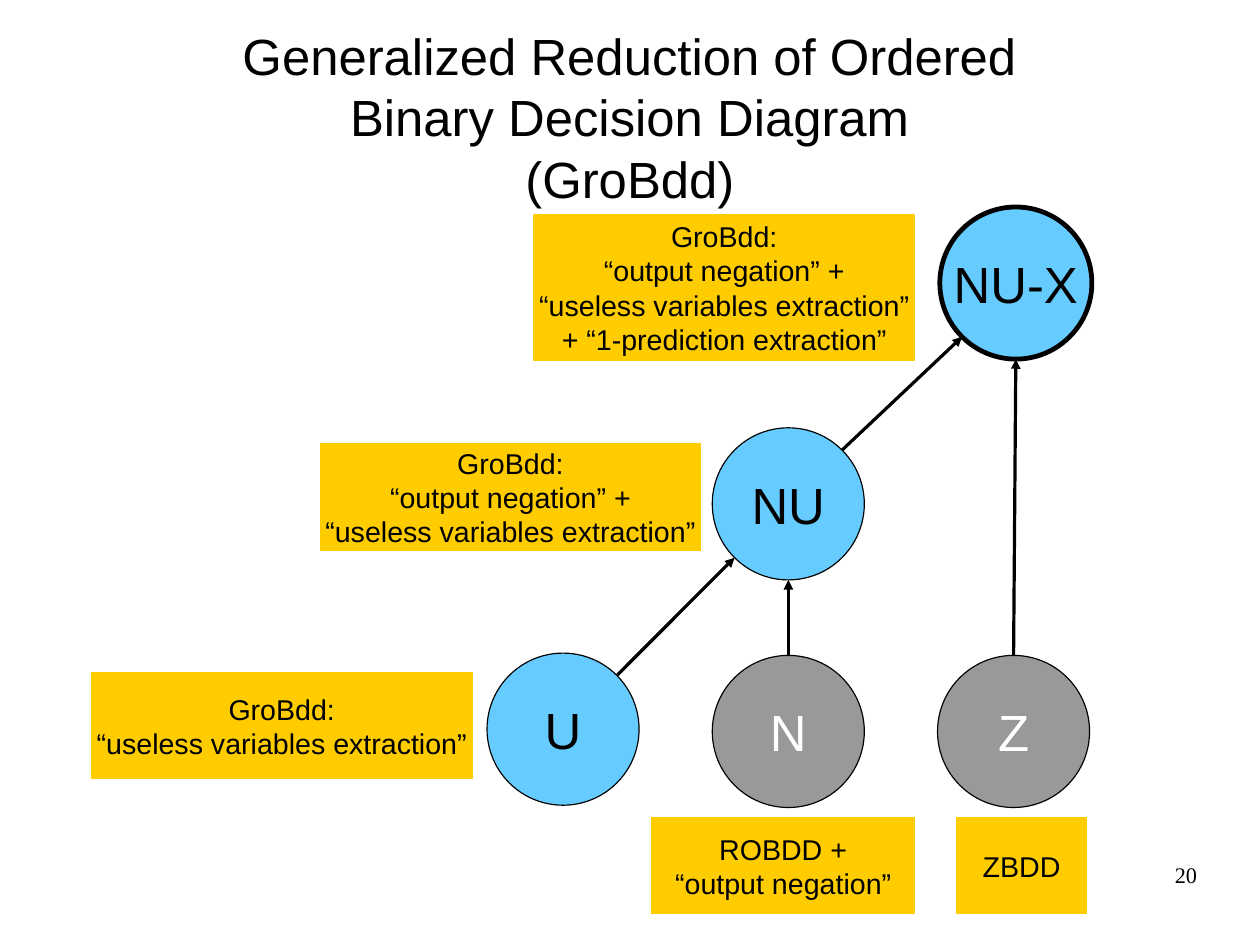
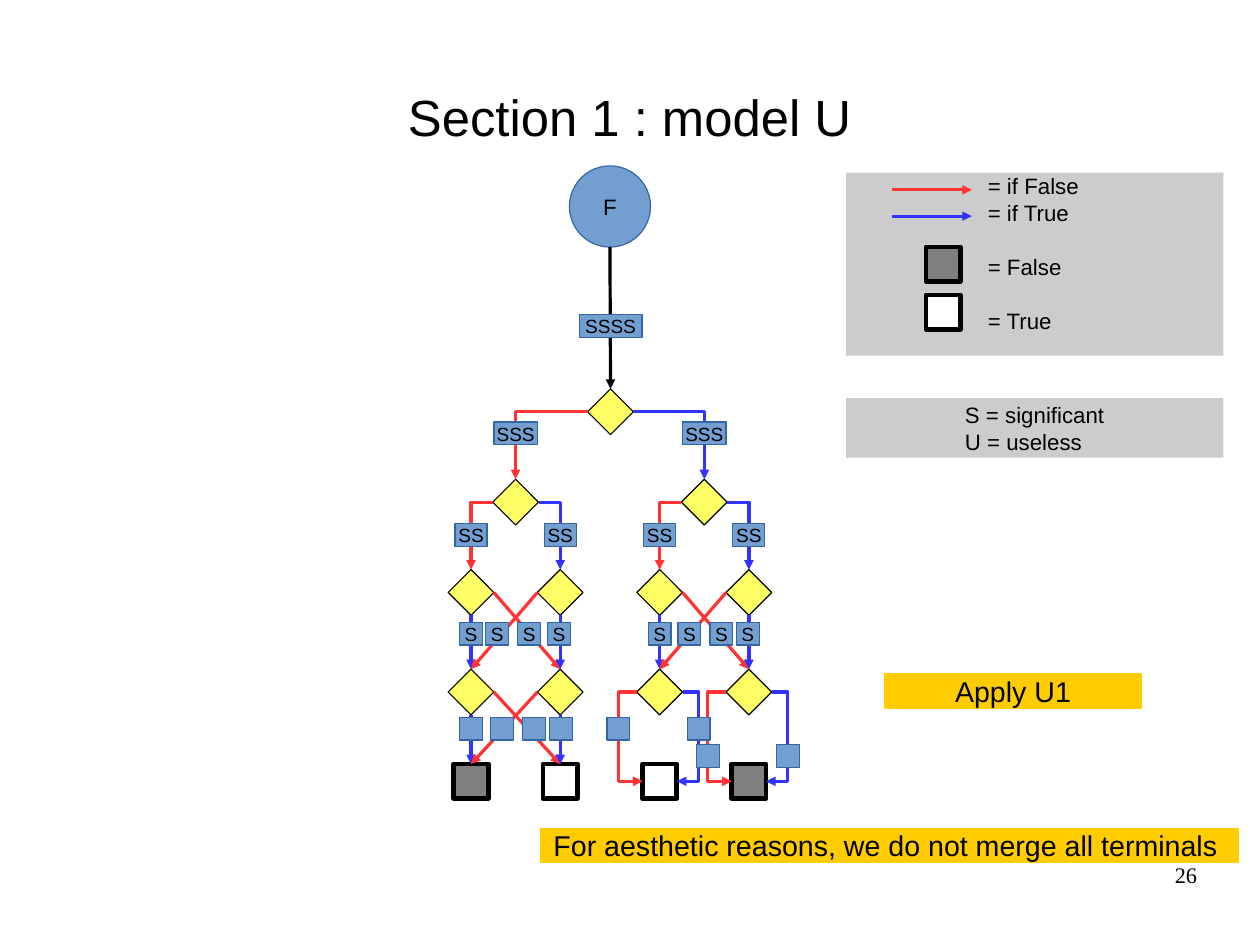
import math

from lxml import etree
from pptx import Presentation
from pptx import util as u
from pptx.dml.color import RGBColor
from pptx.enum import shapes, text
from pptx.oxml.ns import qn

PX = 9144  # EMU in one px, 100 px to the inch
BLACK = RGBColor(0x00, 0x00, 0x00)
WHITE = RGBColor(0xFF, 0xFF, 0xFF)
GREY = RGBColor(0x99, 0x99, 0x99)
DARK_GREY = RGBColor(0x80, 0x80, 0x80)
LIGHT_GREY = RGBColor(0xCC, 0xCC, 0xCC)
SKY = RGBColor(0x66, 0xCC, 0xFF)
AMBER = RGBColor(0xFF, 0xCC, 0x00)
YELLOW = RGBColor(0xFF, 0xFF, 0x66)
STEEL = RGBColor(0x72, 0x9F, 0xCF)
STEEL_EDGE = RGBColor(0x34, 0x65, 0xA4)
RED = RGBColor(0xFF, 0x33, 0x33)
BLUE = RGBColor(0x33, 0x33, 0xFF)

RECTANGLE = shapes.MSO_SHAPE.RECTANGLE
OVAL = shapes.MSO_SHAPE.OVAL
DIAMOND = shapes.MSO_SHAPE.DIAMOND
STRAIGHT = shapes.MSO_CONNECTOR.STRAIGHT
ELBOW = shapes.MSO_CONNECTOR.ELBOW
CENTER = text.PP_ALIGN.CENTER
TOP, LEFT, BOTTOM, RIGHT = range(4)


def px(*lengths):
    return [u.Emu(round(length * PX)) for length in lengths]


def write(frame, words, size, color=BLACK, align=CENTER, font="Arial"):
    frame.text = words
    for paragraph in frame.paragraphs:
        paragraph.alignment = align
        for run in paragraph.runs:
            run.font.name = font
            run.font.size = u.Pt(size)
            run.font.color.rgb = color


def set_margins(frame, left=0, top=0, right=0, bottom=0):
    frame.margin_left, frame.margin_top, frame.margin_right, frame.margin_bottom = px(
        left, top, right, bottom)


def add_box(slide, kind, box, fill, edge=None, width=0, words="", size=18, color=BLACK):
    shape = slide.shapes.add_shape(kind, *px(*box))
    shape.shadow.inherit = False
    shape.fill.solid()
    shape.fill.fore_color.rgb = fill
    if edge is None:
        shape.line.fill.background()
    else:
        shape.line.color.rgb = edge
        shape.line.width = u.Pt(width)
    if words:
        frame = shape.text_frame
        frame.word_wrap = False
        frame.vertical_anchor = text.MSO_ANCHOR.MIDDLE
        write(frame, words, size, color)
    return shape


def add_caption(slide, box, words):
    add_box(slide, RECTANGLE, box, AMBER, AMBER, words=words)


def add_arrow(slide, start, end, color=BLACK, kind=STRAIGHT):
    """Draw a hairline arrow between two (x, y) points in EMU."""
    arrow = slide.shapes.add_connector(kind, *start, *end)
    arrow.line.color.rgb = color
    arrow.line.width = u.Pt(0)
    properties = arrow.element.spPr
    etree.SubElement(properties.find(qn("a:ln")), qn("a:tailEnd"), type="triangle")
    etree.SubElement(properties, qn("a:effectLst"))
    return arrow


def join(slide, source, source_side, target, target_side, color, kind=STRAIGHT):
    """Draw an arrow glued to the middle of a side of each shape."""
    arrow = add_arrow(slide, (0, 0), (0, 0), color, kind)
    arrow.begin_connect(source, source_side)
    arrow.end_connect(target, target_side)
    return arrow


def join_corner(slide, source, source_side, target, color):
    """Leave sideways, turn once and enter the target from above."""
    arrow = join(slide, source, source_side, target, TOP, color, ELBOW)
    arrow.element.spPr.find(qn("a:prstGeom")).set("prst", "bentConnector2")


def join_around(slide, source, target, side, turn_x, color):
    """Leave and enter on the same side, running down at turn_x."""
    arrow = join(slide, source, side, target, side, color, ELBOW)
    bend = (turn_x * PX - arrow.begin_x) / (arrow.end_x - arrow.begin_x)
    geometry = arrow.element.spPr.find(qn("a:prstGeom"))
    guides = geometry.find(qn("a:avLst"))
    if guides is None:
        guides = etree.SubElement(geometry, qn("a:avLst"))
    etree.SubElement(guides, qn("a:gd"), name="adj1", fmla=f"val {round(bend * 100000)}")


def add_page(presentation, title, title_box, number):
    slide = presentation.slides.add_slide(presentation.slide_layouts[5])
    heading = slide.shapes.title
    heading.left, heading.top, heading.width, heading.height = px(*title_box)
    frame = heading.text_frame
    frame.auto_size = text.MSO_AUTO_SIZE.NONE
    frame.vertical_anchor = text.MSO_ANCHOR.MIDDLE
    set_margins(frame)
    write(frame, title, 32)
    page_number = slide.shapes.add_textbox(*px(790, 753, 257, 57)).text_frame
    page_number.word_wrap = True
    set_margins(page_number)
    write(page_number, number, 14, align=text.PP_ALIGN.RIGHT, font="Times New Roman")
    return slide


def rim_point(circle, degrees):
    """Point on a circle's rim, counted clockwise from its right."""
    radius, angle = circle.width / 2, math.radians(degrees)
    return (round(circle.left + radius * (1 + math.cos(angle))),
            round(circle.top + radius * (1 + math.sin(angle))))


def build_model_map(slide):
    circles = {}
    for name, x, y, fill, color, width in (
            ("N", 623, 573, GREY, WHITE, 0), ("NU", 623, 374, SKY, BLACK, 0),
            ("NU-X", 822, 181, SKY, BLACK, 3), ("Z", 820, 573, GREY, WHITE, 0),
            ("U", 426, 571, SKY, BLACK, 0)):
        circles[name] = add_box(slide, OVAL, (x, y, 133, 133), fill, BLACK, width,
                                name, 32, color)
    for source, leave, target, enter in (
            ("U", -45, "NU", 135), ("N", -90, "NU", 90),
            ("NU", -45, "NU-X", 135), ("Z", -90, "NU-X", 90)):
        add_arrow(slide, rim_point(circles[source], leave), rim_point(circles[target], enter))
    for box, words in (
            ((837, 715, 113, 84), "ZBDD"),
            ((570, 715, 230, 84), "ROBDD +\n“output negation”"),
            ((80, 588, 333, 93), "GroBdd:\n“useless variables extraction”"),
            ((280, 388, 333, 93),
             "GroBdd:\n“output negation” +\n“useless variables extraction”"),
            ((467, 188, 333, 127),
             "GroBdd:\n“output negation” +\n“useless variables extraction”\n"
             "+ “1-prediction extraction”")):
        add_caption(slide, box, words)


def add_diamond(slide, x, y):
    return add_box(slide, DIAMOND, (x - 20, y - 20, 40, 40), YELLOW, BLACK)


def add_terminal(slide, x, y, fill):
    return add_box(slide, RECTANGLE, (x - 15, y - 15, 30, 30), fill, BLACK, 3)


def add_tags(slide, centers, word="", width=20):
    for x, y in centers:
        add_box(slide, RECTANGLE, (x - width / 2, y - 10, width, 20), STEEL, STEEL_EDGE,
                words=word, size=12)


def join_crossed(slide, uppers, lowers):
    """Straight down if true, across to the other branch if false."""
    for index, (upper, side) in enumerate(zip(uppers, (RIGHT, LEFT))):
        join(slide, upper, BOTTOM, lowers[index], TOP, BLUE)
        join(slide, upper, side, lowers[1 - index], TOP, RED)


def build_branch(slide, x, top, fills, cross_tags, end_tags=None):
    """Draw half of the tree below its diamond; without end_tags the last edges run around."""
    columns = (x - 39, x + 39)
    head = add_diamond(slide, x, top)
    uppers = [add_diamond(slide, column, top + 79) for column in columns]
    lowers = [add_diamond(slide, column, top + 166) for column in columns]
    ends = [add_terminal(slide, column, top + 244, fill)
            for column, fill in zip(columns, fills)]
    join_corner(slide, head, LEFT, uppers[0], RED)
    join_corner(slide, head, RIGHT, uppers[1], BLUE)
    join_crossed(slide, uppers, lowers)
    add_tags(slide, [(column, top + 29) for column in columns], "SS", 28)
    add_tags(slide, [(x + offset, top + 115) for offset in cross_tags], "S")
    if end_tags:
        join_crossed(slide, lowers, ends)
        add_tags(slide, [(x + offset, top + 198) for offset in end_tags])
        return head
    turns = [(column - 36, column + 34) for column in columns]
    for lower, end, (left, right) in zip(lowers, ends, turns):
        join_around(slide, lower, end, LEFT, left, RED)
        join_around(slide, lower, end, RIGHT, right, BLUE)
    for pair, y in zip(turns, (top + 198, top + 222)):
        add_tags(slide, [(turn, y) for turn in pair])
    return head


def build_tree(slide, x, top):
    circle = add_box(slide, OVAL, (x - 36, top, 71, 71), STEEL, STEEL_EDGE, words="F", size=14)
    root = add_diamond(slide, x, top + 215)
    arrow = add_arrow(slide, rim_point(circle, 90), px(x, top + 195))
    arrow.end_connect(root, TOP)
    left, right = x - 83, x + 82
    false_head = build_branch(slide, left, top + 294, (DARK_GREY, WHITE),
                              (-39, -16, 12, 38), (-39, -12, 16, 40))
    true_head = build_branch(slide, right, top + 294, (WHITE, DARK_GREY), (-39, -13, 15, 38))
    join_corner(slide, root, LEFT, false_head, RED)
    join_corner(slide, root, RIGHT, true_head, BLUE)
    add_tags(slide, [(x, top + 140)], "SSSS", 55)
    add_tags(slide, [(left, top + 234), (right, top + 234)], "SSS", 38)


def add_panel(slide, box, words, indent, spacing=None):
    """Grey panel with left-aligned rows; spacing maps a row to the points above it."""
    panel = add_box(slide, RECTANGLE, box, LIGHT_GREY)
    frame = panel.text_frame
    frame.word_wrap = True
    frame.vertical_anchor = text.MSO_ANCHOR.TOP
    set_margins(frame, left=indent, top=3 if spacing is None else 0)
    write(frame, words, 14, align=text.PP_ALIGN.LEFT)
    for row, points in (spacing or {}).items():
        frame.paragraphs[row].space_before = u.Pt(points)


def build_legend(slide, x, y):
    add_panel(slide, (x, y, 330, 160), "= if False\n= if True\n= False\n= True", 124,
              {2: 17, 3: 17})
    for offset, color in ((15, RED), (38, BLUE)):
        add_arrow(slide, px(x + 40, y + offset), px(x + 110, y + offset), color)
    for offset, fill in ((80, DARK_GREY), (122, WHITE)):
        add_terminal(slide, x + 85, y + offset, fill)
    add_panel(slide, (x, y + 197, 330, 52), "S = significant\nU = useless", 104)


def main():
    presentation = Presentation()
    presentation.slide_width, presentation.slide_height = px(1102, 827)
    overview = add_page(
        presentation,
        "Generalized Reduction of Ordered\vBinary Decision Diagram\v(GroBdd)",
        (55, 27, 992, 150), "20")
    build_model_map(overview)
    section = add_page(presentation, "Section 1 : model U", (55, 33, 992, 138), "26")
    build_tree(section, 534, 145)
    build_legend(section, 740, 151)
    add_caption(section, (774, 589, 224, 30), "Apply U1")
    add_caption(section, (473, 724, 610, 30),
                "For aesthetic reasons, we do not merge all terminals ")
    presentation.save("out.pptx")


if __name__ == "__main__":
    main()
